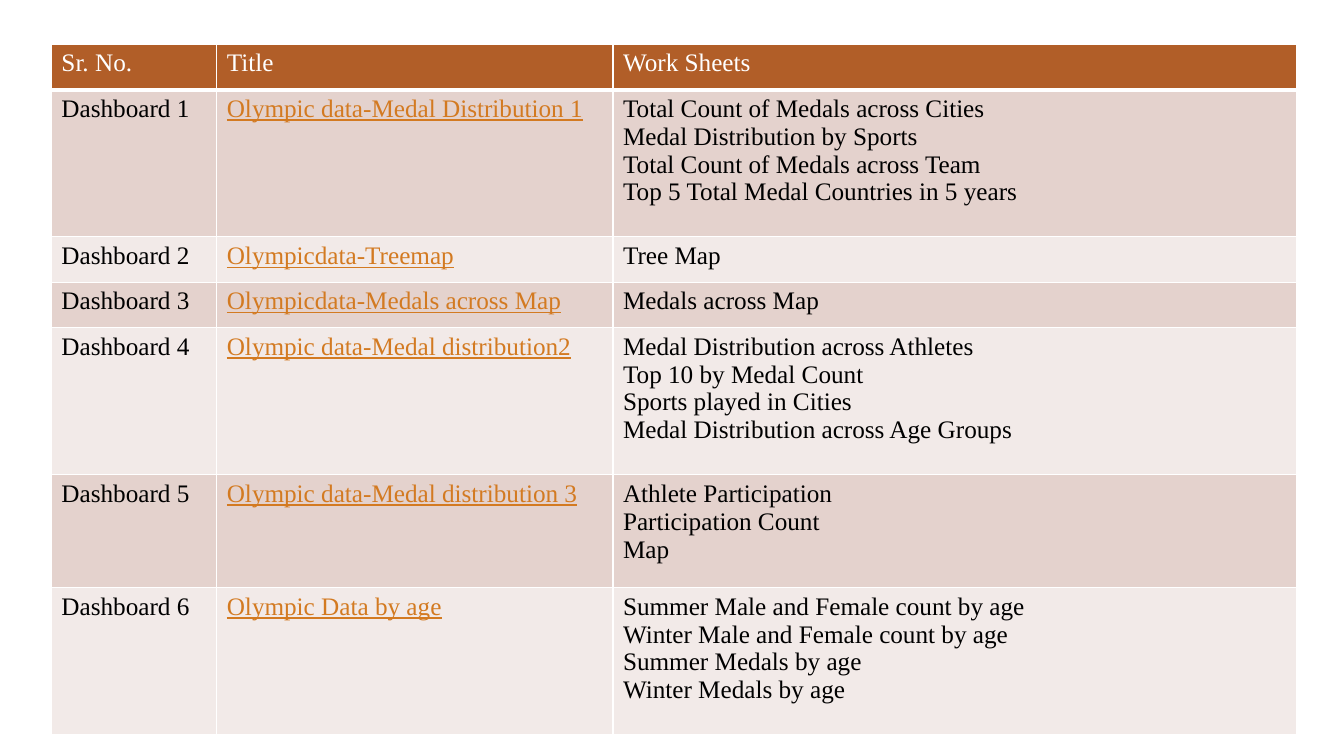
from dataclasses import dataclass

from lxml import etree
from pptx import Presentation
from pptx.dml.color import RGBColor
from pptx.oxml.ns import qn
from pptx.table import _Cell
from pptx.util import Emu, Pt

PX = 9144
SLIDE_SIZE = (1333, 750)
TABLE_ORIGIN = (51, 44)
COLUMN_WIDTHS = (164, 393, 678)
HEIGHT_BY_LINES = {1: 45, 3: 112, 4: 146}
BLANK_LAYOUT = 6


@dataclass(frozen=True)
class Theme:
    font: str = "Times New Roman"
    size: int = 18
    header_fill: str = "B15E28"
    band_fills: tuple[str, str] = ("E4D2CD", "F2EAE8")
    header_text: str = "FFFFFF"
    body_text: str = "000000"
    title_text: str = "D37A21"
    border: str = "FFFFFF"
    border_width: int = 1
    header_rule_width: int = 3


@dataclass(frozen=True)
class Dashboard:
    title: str
    worksheets: tuple[str, ...]


THEME = Theme()
HEADINGS = ("Sr. No.", "Title", "Work Sheets")
DASHBOARDS = (
    Dashboard("Olympic data-Medal Distribution 1", (
        "Total Count of Medals across Cities",
        "Medal Distribution by Sports",
        "Total Count of Medals across Team",
        "Top 5 Total Medal Countries in 5 years",
    )),
    Dashboard("Olympicdata-Treemap", ("Tree Map",)),
    Dashboard("Olympicdata-Medals across Map", ("Medals across Map",)),
    Dashboard("Olympic data-Medal distribution2", (
        "Medal Distribution across Athletes",
        "Top 10 by Medal Count",
        "Sports played in Cities",
        "Medal Distribution across Age Groups",
    )),
    Dashboard("Olympic data-Medal distribution 3", (
        "Athlete Participation",
        "Participation Count",
        "Map",
    )),
    Dashboard("Olympic Data by age", (
        "Summer Male and Female count by age",
        "Winter Male and Female count by age",
        "Summer Medals by age",
        "Winter Medals by age",
    )),
)


def px(length: int) -> Emu:
    return Emu(length * PX)


def draw_borders(cell: _Cell, bottom_width: int) -> None:
    properties = cell._tc.get_or_add_tcPr()
    widths = {"lnL": THEME.border_width, "lnR": THEME.border_width,
              "lnT": THEME.border_width, "lnB": bottom_width}
    for position, (side, width) in enumerate(widths.items()):
        border = etree.Element(qn(f"a:{side}"), w=str(Pt(width)))
        paint = etree.SubElement(border, qn("a:solidFill"))
        etree.SubElement(paint, qn("a:srgbClr"), val=THEME.border)
        properties.insert(position, border)


def write_cell(cell: _Cell, lines: tuple[str, ...], fill: str, color: str,
               underline: bool = False,
               bottom_width: int = THEME.border_width) -> None:
    cell.fill.solid()
    cell.fill.fore_color.rgb = RGBColor.from_string(fill)
    draw_borders(cell, bottom_width)
    cell.text = "\n".join(lines)
    font_format = {"name": THEME.font, "size": Pt(THEME.size),
                   "bold": False, "underline": underline}
    for paragraph in cell.text_frame.paragraphs:
        for run in paragraph.runs:
            for attribute, value in font_format.items():
                setattr(run.font, attribute, value)
            run.font.color.rgb = RGBColor.from_string(color)


def draw_dashboard_table(slide) -> None:
    heights = [HEIGHT_BY_LINES[1]]
    heights += [HEIGHT_BY_LINES[len(d.worksheets)] for d in DASHBOARDS]
    left, top = TABLE_ORIGIN
    table = slide.shapes.add_table(
        len(heights), len(COLUMN_WIDTHS), px(left), px(top),
        px(sum(COLUMN_WIDTHS)), px(sum(heights))).table
    table.horz_banding = False
    for column, width in zip(table.columns, COLUMN_WIDTHS):
        column.width = px(width)
    for row, height in zip(table.rows, heights):
        row.height = px(height)

    for column_index, heading in enumerate(HEADINGS):
        write_cell(table.cell(0, column_index), (heading,), THEME.header_fill,
                   THEME.header_text, bottom_width=THEME.header_rule_width)
    for number, dashboard in enumerate(DASHBOARDS, start=1):
        band = THEME.band_fills[(number - 1) % 2]
        write_cell(table.cell(number, 0), (f"Dashboard {number}",),
                   band, THEME.body_text)
        write_cell(table.cell(number, 1), (dashboard.title,),
                   band, THEME.title_text, underline=True)
        write_cell(table.cell(number, 2), dashboard.worksheets,
                   band, THEME.body_text)


def main() -> None:
    presentation = Presentation()
    width, height = SLIDE_SIZE
    presentation.slide_width = px(width)
    presentation.slide_height = px(height)
    slide = presentation.slides.add_slide(
        presentation.slide_layouts[BLANK_LAYOUT])
    draw_dashboard_table(slide)
    presentation.save("out.pptx")


if __name__ == "__main__":
    main()
